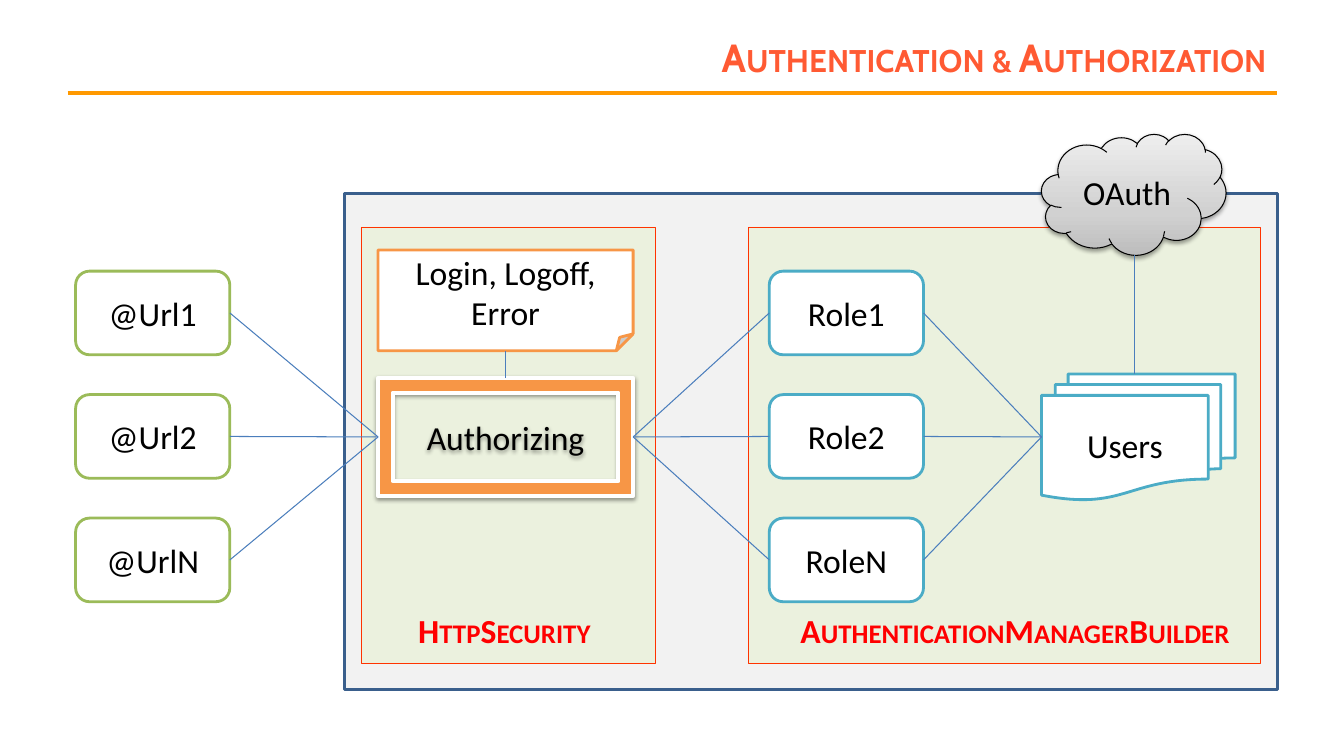
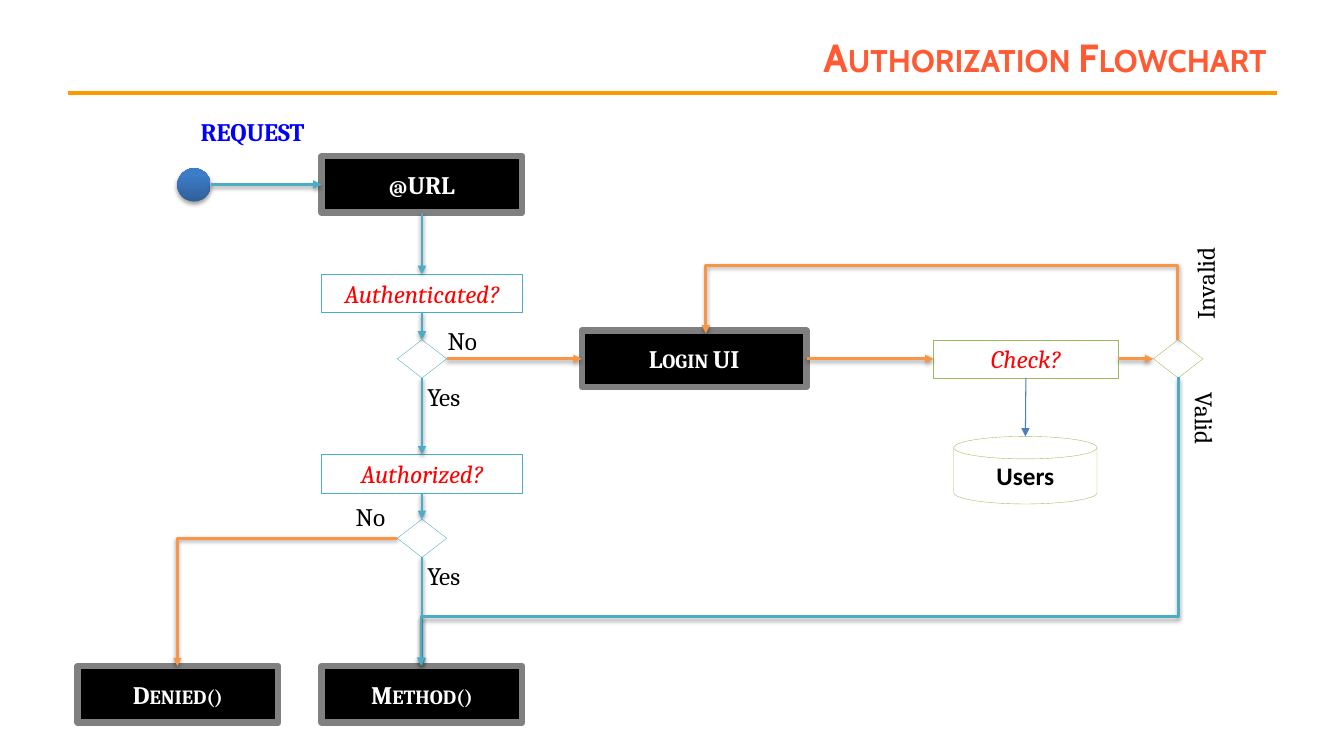
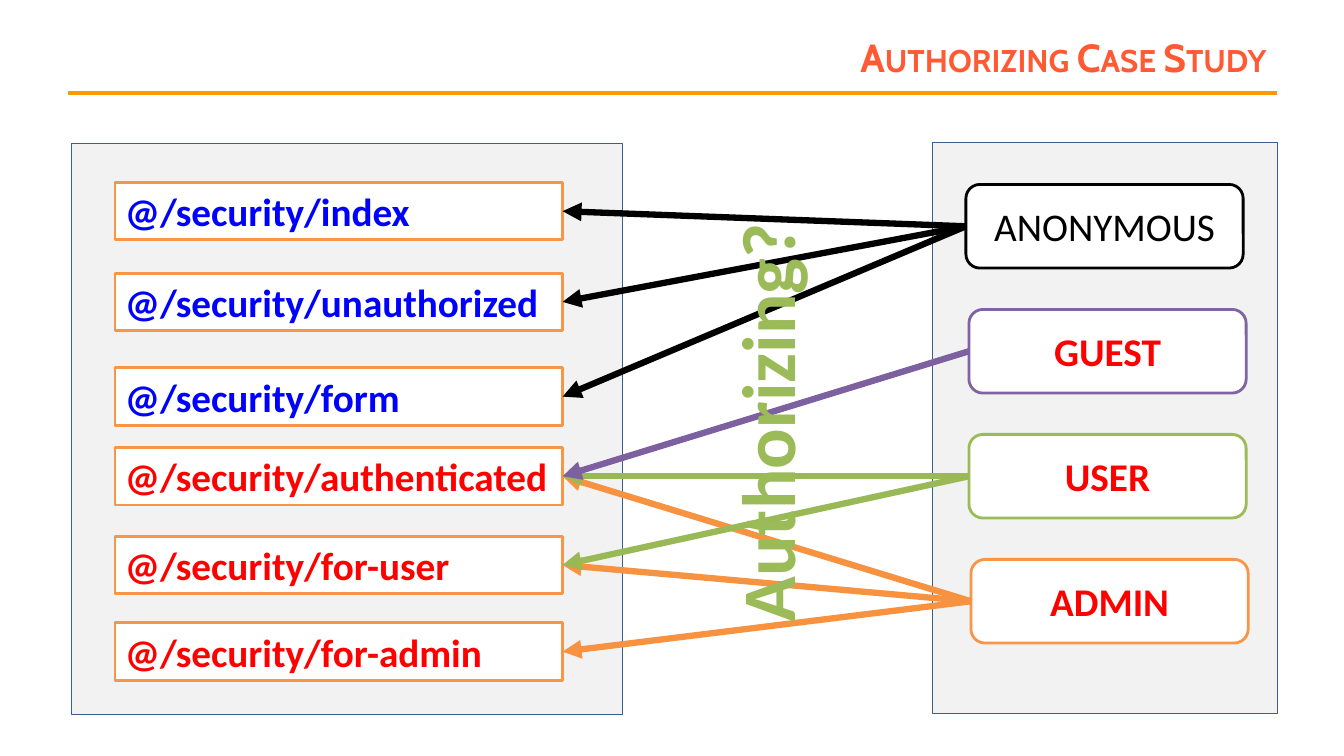
from lxml import etree
from pptx import Presentation
from pptx.dml.color import RGBColor
from pptx.enum.shapes import MSO_CONNECTOR, MSO_SHAPE
from pptx.enum.text import MSO_ANCHOR, MSO_AUTO_SIZE, PP_ALIGN
from pptx.oxml.ns import qn
from pptx.util import Inches, Pt

STRAIGHT, ELBOW = MSO_CONNECTOR.STRAIGHT, MSO_CONNECTOR.ELBOW
RECT, ROUNDED = MSO_SHAPE.RECTANGLE, MSO_SHAPE.ROUNDED_RECTANGLE
FRAME, NOTE, CLOUD = MSO_SHAPE.FRAME, MSO_SHAPE.FOLDED_CORNER, MSO_SHAPE.CLOUD
DOCUMENTS, DISK = MSO_SHAPE.FLOWCHART_MULTIDOCUMENT, MSO_SHAPE.FLOWCHART_MAGNETIC_DISK
DECISION, OVAL = MSO_SHAPE.FLOWCHART_DECISION, MSO_SHAPE.OVAL
LEFT, CENTER, RIGHT = PP_ALIGN.LEFT, PP_ALIGN.CENTER, PP_ALIGN.RIGHT
TOP_ANCHOR, MIDDLE = MSO_ANCHOR.TOP, MSO_ANCHOR.MIDDLE
GROW = MSO_AUTO_SIZE.SHAPE_TO_FIT_TEXT
TOP_SIDE, LEFT_SIDE, BOTTOM_SIDE, RIGHT_SIDE = range(4)

BLACK = RGBColor(0x00, 0x00, 0x00)
WHITE = RGBColor(0xFF, 0xFF, 0xFF)
GRAY = RGBColor(0x80, 0x80, 0x80)
PALE_GRAY = RGBColor(0xF2, 0xF2, 0xF2)
PALE_GREEN = RGBColor(0xEB, 0xF1, 0xDE)
NAVY = RGBColor(0x3A, 0x5F, 0x8C)
BLUE = RGBColor(0x00, 0x00, 0xFF)
LINK_BLUE = RGBColor(0x4B, 0x7E, 0xBC)
TEAL = RGBColor(0x4B, 0xAC, 0xC6)
GREEN = RGBColor(0x9B, 0xBB, 0x59)
LINK_GREEN = RGBColor(0x98, 0xB9, 0x55)
ORANGE = RGBColor(0xF7, 0x96, 0x46)
LINK_ORANGE = RGBColor(0xF6, 0x92, 0x40)
PURPLE = RGBColor(0x80, 0x64, 0xA2)
LINK_PURPLE = RGBColor(0x7D, 0x60, 0xA0)
RED = RGBColor(0xFF, 0x00, 0x00)
PANEL_RED = RGBColor(0xFF, 0x33, 0x00)
TITLE_RED = RGBColor(0xFF, 0x5A, 0x33)
RULE_GOLD = RGBColor(0xFF, 0x99, 0x00)

TITLE = {"name": "Cabin", "size": Pt(28), "bold": True}
NODE = {"name": "Calibri", "size": Pt(24)}
NODE_BOLD = {**NODE, "bold": True}
LABEL = {"name": "Cambria", "size": Pt(18)}
LABEL_BOLD = {**LABEL, "bold": True}
QUESTION = {**LABEL, "italic": True}
STORE = {"name": "Calibri", "size": Pt(18), "bold": True}
ROLE = {"name": "Calibri", "size": Pt(28)}
ROLE_BOLD = {**ROLE, "bold": True}
BIG = {"name": "Calibri", "size": Pt(54), "bold": True}


def add_box(page, kind, at, fill=None, line=None, width=0, text="", style=NODE,
            color=BLACK, caps=False, align=CENTER, anchor=MIDDLE):
    lengths = [Inches(value) for value in at]
    if kind is None:
        box = page.shapes.add_textbox(*lengths)
    else:
        box = page.shapes.add_shape(kind, *lengths)
        box.shadow.inherit = False
        if fill is not None:
            box.fill.solid()
            box.fill.fore_color.rgb = fill
        if line is None:
            box.line.fill.background()
        else:
            box.line.color.rgb = line
            box.line.width = Pt(width)
    if text:
        frame = box.text_frame
        frame.word_wrap = True
        frame.vertical_anchor = anchor
        para = frame.paragraphs[0]
        para.alignment = align
        span = para.add_run()
        span.text = text
        for name, value in style.items():
            setattr(span.font, name, value)
        span.font.color.rgb = color
        if caps:
            span._r.get_or_add_rPr().set("cap", "small")
    return box


def add_link(page, begin, end, color, width, arrow=False, kind=STRAIGHT):
    link = page.shapes.add_connector(kind, 0, 0, 0, 0)
    if isinstance(begin[0], float):
        link.begin_x, link.begin_y = Inches(begin[0]), Inches(begin[1])
    else:
        link.begin_connect(*begin)
    if isinstance(end[0], float):
        link.end_x, link.end_y = Inches(end[0]), Inches(end[1])
    else:
        link.end_connect(*end)
    link.line.color.rgb = color
    link.line.width = Pt(width)
    properties = link._element.spPr
    if arrow:
        etree.SubElement(properties.find(qn("a:ln")), qn("a:tailEnd"), type="triangle")
    etree.SubElement(properties, qn("a:effectLst"))
    return link


deck = Presentation()
deck.slide_width, deck.slide_height = Inches(13.33), Inches(7.5)
pages = []
for title in ("Authentication & Authorization", "Authorization Flowchart",
              "Authorizing Case Study"):
    page = deck.slides.add_slide(deck.slide_layouts[6])
    add_link(page, (0.67, 0.92), (12.67, 0.92), RULE_GOLD, 3)
    add_box(page, None, (2.44, 0.3, 10.22, 0.53), text=title, style=TITLE,
            color=TITLE_RED, caps=True, align=RIGHT)
    pages.append(page)
overview, flowchart, study = pages
shadowed = []
labels = []

add_box(overview, RECT, (3.42, 1.92, 9.25, 4.92), PALE_GRAY, NAVY, 2)
for left, width in ((3.58, 2.92), (7.42, 5.08)):
    add_box(overview, RECT, (left, 2.25, width, 4.33), PALE_GREEN, PANEL_RED, 0.25)
authorizing = add_box(overview, FRAME, (3.75, 3.75, 2.53, 1.17), ORANGE, WHITE, 3, "Authorizing")
users = add_box(overview, DOCUMENTS, (10.33, 3.71, 1.92, 1.25), WHITE, TEAL, 2, "Users")
login = add_box(overview, NOTE, (3.75, 2.48, 2.53, 1), WHITE, ORANGE, 2, "Login, Logoff, Error")
cloud = add_box(overview, CLOUD, (10.33, 1.33, 1.83, 1.2), None, BLACK, 0.75, "OAuth")
shadowed += [authorizing, cloud]
for row, suffix in enumerate("12N"):
    top = 2.69 + 1.225 * row
    url = add_box(overview, ROUNDED, (0.75, top, 1.53, 0.83), WHITE, GREEN, 2, "@Url" + suffix)
    role = add_box(overview, ROUNDED, (7.63, top, 1.53, 0.83), WHITE, TEAL, 2, "Role" + suffix)
    for begin, end in (((url, RIGHT_SIDE), (authorizing, LEFT_SIDE)),
                       ((authorizing, RIGHT_SIDE), (role, LEFT_SIDE)),
                       ((users, LEFT_SIDE), (role, RIGHT_SIDE))):
        add_link(overview, begin, end, LINK_BLUE, 0.75)
add_link(overview, (authorizing, TOP_SIDE), (login, BOTTOM_SIDE), LINK_BLUE, 0.75)
add_link(overview, (11.25, 2.53), (11.25, 3.71), LINK_BLUE, 0.75)
for text, left, width in (("AuthenticationManagerBuilder", 7.84, 4.49),
                          ("HttpSecurity", 4.05, 1.93)):
    labels.append(add_box(overview, None, (left, 6, width, 0.5), text=text, style=NODE_BOLD,
                          color=RED, caps=True, align=LEFT, anchor=TOP_ANCHOR))

steps = {}
for text, left, top, width in (("@URL", 3.19, 1.55, 1.99), ("Login UI", 5.77, 3.28, 2.23),
                               ("Method()", 3.19, 6.61, 1.99), ("Denied()", 0.77, 6.61, 1.99)):
    steps[text] = add_box(flowchart, RECT, (left, top, width, 0.56), BLACK, GRAY, 4.5, text,
                          LABEL_BOLD, WHITE, True)
for text, left, top, width, line in (("Authenticated?", 3.19, 2.72, 1.99, TEAL),
                                     ("Authorized?", 3.19, 4.51, 1.99, TEAL),
                                     ("Check?", 9.26, 3.37, 1.83, GREEN)):
    steps[text] = add_box(flowchart, RECT, (left, top, width, 0.38), WHITE, line, 0.25, text,
                          QUESTION, RED)
for name, left, top, line in (("known", 3.94, 3.37, TEAL), ("allowed", 3.94, 5.15, TEAL),
                              ("checked", 11.44, 3.37, GREEN)):
    steps[name] = add_box(flowchart, DECISION, (left, top, 0.49, 0.38), WHITE, line, 0.25)
store = add_box(flowchart, DISK, (9.46, 4.33, 1.42, 0.67), WHITE, GREEN, 0.25, "Users", STORE)
request = add_box(flowchart, OVAL, (1.76, 1.67, 0.33, 0.33))
shadowed.append(request)

shadowed.append(add_link(flowchart, (2.09, 1.83), (steps["@URL"], LEFT_SIDE), TEAL, 2, True))
down = ("@URL", "Authenticated?", "known", "Authorized?", "allowed", "Method()")
for begin, end in zip(down, down[1:]):
    shadowed.append(add_link(flowchart, (steps[begin], BOTTOM_SIDE), (steps[end], TOP_SIDE),
                             TEAL, 2, True))
across = ("known", "Login UI", "Check?", "checked")
for begin, end in zip(across, across[1:]):
    shadowed.append(add_link(flowchart, (steps[begin], RIGHT_SIDE), (steps[end], LEFT_SIDE),
                             ORANGE, 2, True))
add_link(flowchart, (steps["Check?"], BOTTOM_SIDE), (10.17, 4.33), LINK_BLUE, 0.75, True)

for begin, side, end, color, at, turn, flip, bend, shift in (
        ("checked", TOP_SIDE, "Login UI", ORANGE, (9.31, 1, 0.06, 4.68), 270, True,
         "bentConnector3", 12.28),
        ("checked", BOTTOM_SIDE, "Method()", TEAL, (6.5, 1.42, 2.86, 7.51), 90, False,
         "bentConnector3", 0.83),
        ("allowed", LEFT_SIDE, "Denied()", ORANGE, (1.76, 5.34, 2.18, 1.27), 180, True,
         "bentConnector2", None)):
    link = add_link(flowchart, (steps[begin], side), (steps[end], TOP_SIDE), color, 2, True, ELBOW)
    link.left, link.top, link.width, link.height = [Inches(value) for value in at]
    transform = link._element.spPr.find(qn("a:xfrm"))
    transform.attrib.pop("flipH", None)
    transform.set("flipV", str(int(flip)))
    transform.set("rot", str(turn * 60000))
    geometry = link._element.spPr.find(qn("a:prstGeom"))
    geometry.set("prst", bend)
    if shift is not None:
        etree.SubElement(geometry.find(qn("a:avLst")), qn("a:gd"), name="adj1",
                         fmla=f"val {round(shift * 100000)}")
    shadowed.append(link)

for text, left, top, width, turn in (("No", 4.34, 3.18, 0.51, 0), ("Yes", 4.14, 3.73, 0.55, 0),
                                     ("No", 3.43, 4.92, 0.51, 0), ("Yes", 4.14, 5.51, 0.55, 0),
                                     ("Invalid", 11.48, 2.6, 0.94, 270),
                                     ("Valid", 11.58, 3.97, 0.74, 90)):
    label = add_box(flowchart, None, (left, top, width, 0.4), text=text, style=LABEL,
                    align=LEFT, anchor=TOP_ANCHOR)
    label.rotation = turn
    labels.append(label)
labels.append(add_box(flowchart, None, (1.89, 1.11, 1.29, 0.4), text="REQUEST",
                      style=LABEL_BOLD, color=BLUE, align=LEFT, anchor=TOP_ANCHOR))

for left, top, width in ((9.25, 1.41, 3.42), (0.71, 1.42, 5.46)):
    add_box(study, RECT, (left, top, width, 5.67), PALE_GRAY, NAVY, 0.25)
addresses = {}
for name, top, color in (("index", 1.81, BLUE), ("unauthorized", 2.71, BLUE),
                         ("form", 3.65, BLUE), ("authenticated", 4.44, RED),
                         ("for-user", 5.32, RED), ("for-admin", 6.18, RED)):
    address = add_box(study, RECT, (1.14, top, 4.44, 0.57), WHITE, ORANGE, 2,
                      "@/security/" + name, ROLE_BOLD, color, align=LEFT, anchor=TOP_ANCHOR)
    address.text_frame.margin_right = 0
    addresses[name] = address
roles = (("ADMIN", 9.63, 3, ORANGE, LINK_ORANGE, ROLE_BOLD, RED,
          ("for-admin", "for-user", "authenticated")),
         ("USER", 9.61, 2, GREEN, LINK_GREEN, ROLE_BOLD, RED, ("for-user", "authenticated")),
         ("GUEST", 9.61, 1, PURPLE, LINK_PURPLE, ROLE_BOLD, RED, ("authenticated",)),
         ("ANONYMOUS", 9.58, 0, BLACK, BLACK, ROLE, BLACK, ("index", "unauthorized", "form")))
for text, left, row, line, link_color, style, color, targets in roles:
    role = add_box(study, ROUNDED, (left, 1.83 + 1.24 * row, 2.75, 0.83), WHITE, line, 2, text,
                   style, color)
    for target in targets:
        add_link(study, (role, LEFT_SIDE), (addresses[target], RIGHT_SIDE), link_color, 4.5, True)
question = add_box(study, None, (5.5, 3.69, 4.2, 1.01), text="Authorizing?", style=BIG,
                   color=GREEN, anchor=TOP_ANCHOR)
question.rotation = 270
labels.append(question)

for label in labels:
    label.text_frame.word_wrap = False
    label.text_frame.auto_size = GROW

for shape, stops in ((cloud, ((0, "BDBDBD"), (35, "D1D1D1"), (100, "EEEEEE"))),
                     (request, ((0, "2F5F99"), (80, "3D7CC7"), (100, "3A7CCB")))):
    shape.fill.gradient()
    shape.fill.gradient_angle = 90
    stop_list = shape._element.spPr.find(qn("a:gradFill")).find(qn("a:gsLst"))
    for stop in list(stop_list):
        stop_list.remove(stop)
    for position, value in stops:
        stop = etree.SubElement(stop_list, qn("a:gs"), pos=str(position * 1000))
        etree.SubElement(stop, qn("a:srgbClr"), val=value)

for shape in shadowed:
    effects = shape._element.spPr.find(qn("a:effectLst"))
    shadow = etree.SubElement(effects, qn("a:outerShdw"), blurRad="40000", dist="20000",
                              dir="5400000", rotWithShape="0")
    tint = etree.SubElement(shadow, qn("a:srgbClr"), val="000000")
    etree.SubElement(tint, qn("a:alpha"), val="38000")

deck.save("out.pptx")
